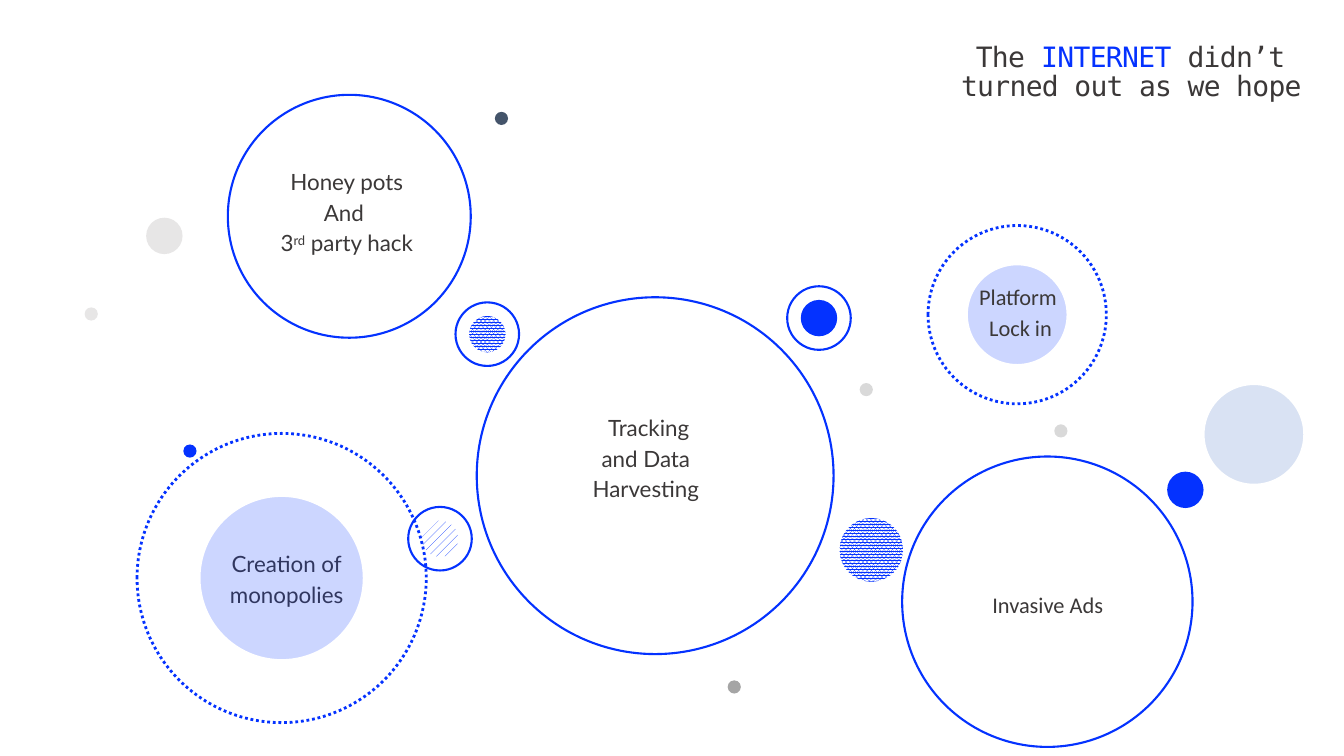
"""Build the slide of circles on how the internet turned out."""
from lxml import etree
from pptx import Presentation
from pptx.dml.color import RGBColor
from pptx.enum.dml import MSO_LINE, MSO_PATTERN
from pptx.enum.shapes import MSO_SHAPE
from pptx.enum.text import MSO_AUTO_SIZE, PP_ALIGN
from pptx.oxml.ns import qn
from pptx.util import Pt

BLUE = RGBColor(0x04, 0x32, 0xFF)
SOFT_BLUE = RGBColor(0x44, 0x72, 0xC4)
SLATE = RGBColor(0x44, 0x54, 0x6A)
INK = RGBColor(0x3B, 0x38, 0x38)
PALE_GREY = RGBColor(0xE7, 0xE6, 0xE6)
LIGHT_GREY = RGBColor(0xD9, 0xD9, 0xD9)
MID_GREY = RGBColor(0xA5, 0xA5, 0xA5)
WHITE = RGBColor(0xFF, 0xFF, 0xFF)

DOT, DISC, RING, PALE_DISC = 9.4, 26, 45.4, 72

deck = Presentation()
deck.slide_width, deck.slide_height = Pt(960), Pt(540)
page = deck.slides.add_slide(deck.slide_layouts[6])


def add_circle(x, y, size, fill=None, line=None, dotted=False, pattern=None, alpha=None):
    circle = page.shapes.add_shape(
        MSO_SHAPE.OVAL, Pt(x - size / 2), Pt(y - size / 2), Pt(size), Pt(size))
    circle.shadow.inherit = False
    if pattern is not None:
        circle.fill.patterned()
        circle.fill.pattern = pattern
        circle.fill.fore_color.rgb = BLUE
        circle.fill.back_color.rgb = WHITE
    elif fill is not None:
        circle.fill.solid()
        circle.fill.fore_color.rgb = fill
        if alpha:
            color = circle.fill._xPr.find(qn("a:solidFill"))[0]
            etree.SubElement(color, qn("a:alpha")).set("val", str(alpha * 1000))
    else:
        circle.fill.background()
    if line is None:
        circle.line.fill.background()
    else:
        circle.line.color.rgb = line
        circle.line.width = Pt(2 if dotted else 1.5)
        if dotted:
            circle.line.dash_style = MSO_LINE.ROUND_DOT


def add_text(left, top, width, height, lines, font, size, align):
    box = page.shapes.add_textbox(Pt(left), Pt(top), Pt(width), Pt(height))
    frame = box.text_frame
    frame.word_wrap = True
    for index, line in enumerate(lines):
        para = frame.paragraphs[0] if index == 0 else frame.add_paragraph()
        para.alignment = align
        for words in line:
            para.add_run().text = words
        para.font.name = font
        para.font.size = Pt(size)
        para.font.color.rgb = INK
    return frame


for x, y, size in [(249.5, 154.5, 173.5), (468, 339.8, 254.9), (748.1, 429.8, 207.4)]:
    add_circle(x, y, size, WHITE, BLUE)

add_circle(726.6, 224.8, PALE_DISC, BLUE, WHITE, alpha=20)
add_circle(726.6, 224.8, 127.4, line=BLUE, dotted=True)
add_circle(117.4, 168.5, DISC, PALE_GREY)

for x, y, pattern in [
    (348.1, 238.7, MSO_PATTERN.PERCENT_80),
    (314.3, 384.8, MSO_PATTERN.PERCENT_20),
    (585, 227.2, None),
]:
    add_circle(x, y, DISC, BLUE, pattern=pattern)
    add_circle(x, y, RING, line=BLUE)

add_circle(622.4, 392.8, RING, pattern=MSO_PATTERN.PERCENT_80)
add_circle(895.7, 310.3, PALE_DISC, SOFT_BLUE, WHITE, alpha=20)
add_circle(846.7, 349.9, DISC, BLUE)

labels = [
    (355, 292.3, 216.7, 71.3, "Lato", [["Tracking"], ["and Data "], ["Harvesting "]]),
    (663.1, 419, 170.6, 26.6, "Calibri", [["Invasive Ads"]]),
    (115.9, 389.5, 177.8, 49, "Lato", [["Creation of"], ["monopolies"]]),
    (645.1, 198.7, 167.8, 49, "Calibri", [["Platform "], ["Lock in"]]),
    (175, 116.6, 145.4, 71.3, "Lato",
     [["Honey pots"], ["And "], ["3", "rd", " party hack"]]),
]
for left, top, width, height, font, lines in labels:
    frame = add_text(left, top, width, height, lines, font, 16, PP_ALIGN.CENTER)
    frame.margin_left = frame.margin_right = 0
    frame.auto_size = MSO_AUTO_SIZE.SHAPE_TO_FIT_TEXT
    for para in frame.paragraphs:
        para.space_after = Pt(2.7)
        for span in para.runs:
            if span.text == "rd":
                span.font._element.set("baseline", "30000")

for x, y, color in [
    (757.8, 307.8, LIGHT_GREY), (524.5, 490.7, MID_GREY), (135.7, 322.2, BLUE),
    (618.8, 278.3, LIGHT_GREY), (358.2, 84.6, SLATE), (65.2, 224.3, PALE_GREY),
]:
    add_circle(x, y, DOT, color)

title = add_text(630, 28.1, 306.7, 64.1,
                 [["The", " INTERNET ", "didn’t "], ["turned out as we hope"]],
                 "DejaVu Sans Mono", 20, PP_ALIGN.RIGHT)
for para in title.paragraphs:
    para.line_spacing = 0.86
    for span in para.runs:
        span.font._element.set("spc", "-50")
title.paragraphs[0].runs[1].font.color.rgb = BLUE

add_circle(201.2, 412.9, 117.4, BLUE, WHITE, alpha=20)
add_circle(201.2, 412.9, 206.6, line=BLUE, dotted=True)

deck.save("out.pptx")
